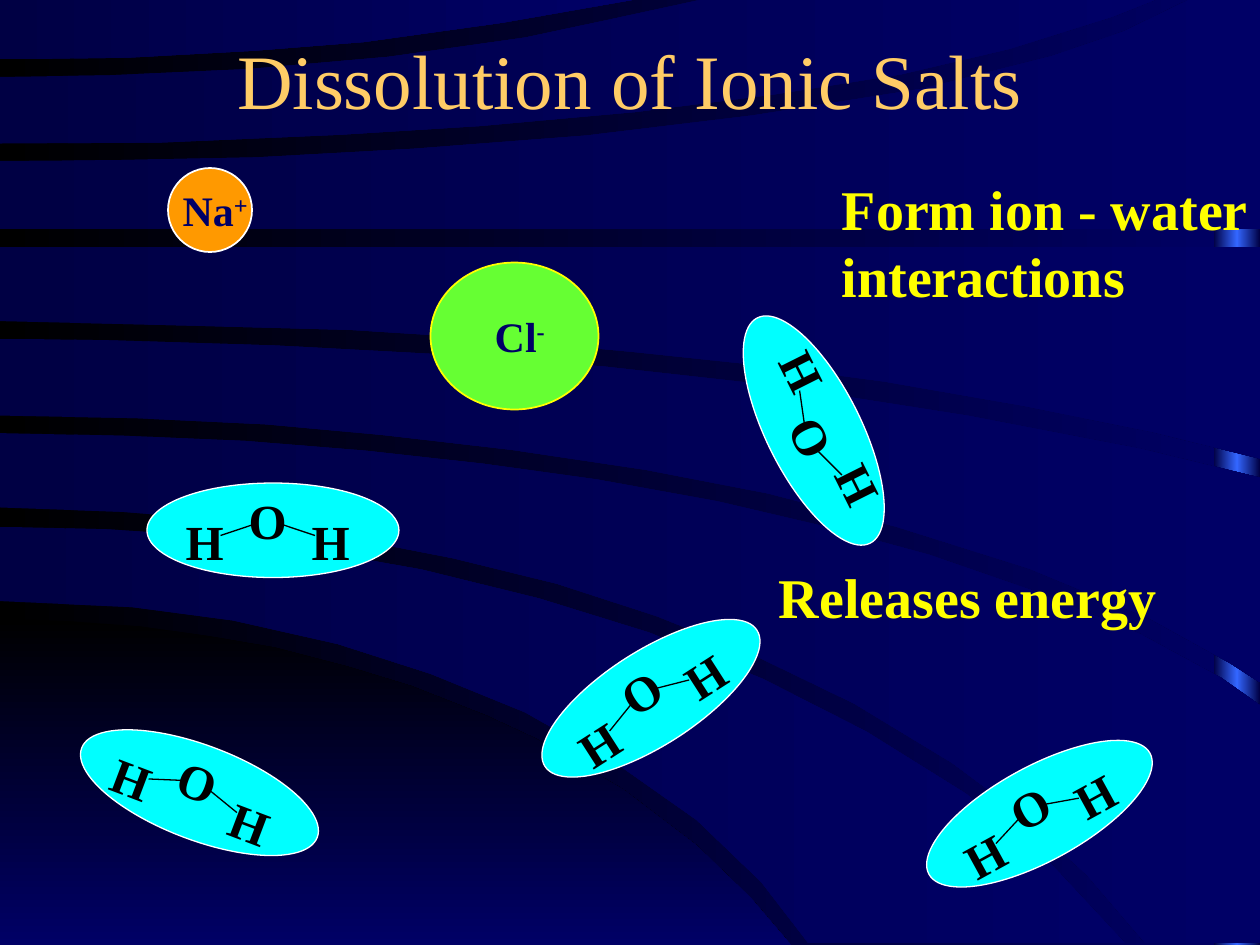
from copy import deepcopy
from math import cos, radians, sin

from lxml import etree
from pptx import Presentation
from pptx.dml.color import RGBColor
from pptx.enum import shapes, text
from pptx.oxml import ns
from pptx.util import Pt

FONT = "Times New Roman"
BLACK = RGBColor(0, 0, 0)
WHITE = RGBColor(255, 255, 255)
NAVY = RGBColor(0, 0, 0x66)
DEEP = RGBColor(0, 0, 0x44)
BLUE = RGBColor(0x33, 0x66, 0xFF)
GOLD = RGBColor(0xFF, 0xCC, 0x66)
YELLOW = RGBColor(255, 255, 0)
CYAN = RGBColor(0, 255, 255)
GREEN = RGBColor(0x66, 0xFF, 0x33)
ORANGE = RGBColor(0xFF, 0x99, 0)

WIDE, HIGH = 720, 540

# Backdrop: upper and lower edge of each band, from left to right
DOME = ([(0, 353.5), (40, 355), (80, 358), (119, 363.5), (157, 370), (199, 381),
         (235, 392), (278, 409), (306, 422), (356, 451), (398, 483),
         (429, 513), (452, 540)], [(0, 540)])
BANDS = [
    ([(0, 301), (62, 302.5), (119, 306.5), (179, 314.5), (241, 325.5),
      (308, 342), (371, 361.5), (436, 388), (495, 418), (552, 453.5),
      (600, 493), (643, 539)],
     [(0, 343.5), (76, 347), (133, 354.5), (193, 368), (246, 385), (300, 407),
      (354, 437.5), (398, 468.5), (435, 504), (462, 539)]),
    ([(0, 247.5), (70, 249), (140, 252), (208, 257.5), (276, 265), (341, 274),
      (410, 286.5), (472, 301), (531, 317), (589, 337), (651, 362),
      (698, 387.5), (720, 403)],
     [(0, 290), (70, 292.5), (132, 297.5), (192, 306), (259, 319),
      (318, 333.5), (375, 352), (430, 374), (488, 402), (544, 436),
      (583, 465), (621, 500), (654.5, 539), (720, 539)]),
    ([(0, 193.5), (64, 194.5), (158, 197.5), (251, 202.5), (345, 209.5),
      (444, 220.5), (553, 237.5), (652, 256.5), (720, 273)],
     [(0, 237.5), (78, 239), (152, 242.5), (218, 248.5), (292, 257),
      (369, 268.5), (439, 282), (512, 301), (588, 325), (657, 353.5),
      (703, 379), (720, 390)]),
    ([(0, 141), (720, 141)],
     [(0, 183.5), (106, 186), (200, 188.5), (280, 193.5), (361, 201),
      (437, 209), (505, 218), (585, 232), (659, 247), (720, 262)]),
    ([(0, 92), (67, 91.5), (146, 90), (237, 85), (335, 77.5), (430, 66),
      (528, 50.5), (601, 32), (642, 18), (679, 0), (720, 0)],
     [(0, 131), (720, 131)]),
    ([(0, 44), (63, 43), (142, 39.5), (222, 32.5), (300, 21.5), (347, 11.5),
      (400, 0)],
     [(0, 82), (91, 81.5), (194, 77), (274, 72), (363, 64), (442, 54),
      (515, 42.5), (577, 28), (636, 9.5), (660, 0)]),
    ([(0, 0)],
     [(0, 34), (73, 33), (145, 29), (208, 24), (287, 13), (361, 0)]),
]

# Water: centre and turn of each molecule; parts are offsets from its centre
WATER = [(372, 399, 327.3), (156, 303, 0), (465, 246, 243.4),
         (594, 465, 331.3), (114, 453, 20.8)]
ATOMS = [("H", -39, 6), ("H", 33, 6), ("O", -3, -6)]
BONDS = [((-30, 3), (-12, -3)), ((24, 3), (6, -3))]

# Ions: symbol, charge, circle box, label place, fill, line
IONS = [("Cl", "-", (246, 150, 96, 84), (270, 174), GREEN, YELLOW),
        ("Na", "+", (96, 96, 48, 48), (96, 102), ORANGE, WHITE)]
TITLE = "Dissolution of Ionic Salts"
NOTES = [("Form ion - water interactions", (474, 96, 246, 84)),
         ("Releases energy", (438, 318, 246, 45))]


def shade(fill, hues, angle=0):
    fill.gradient()
    fill.gradient_angle = angle
    stops = fill.gradient_stops
    stops[0].color.rgb, stops[1].color.rgb = hues[0], hues[-1]
    stops[0].position, stops[1].position = 0, 1
    if len(hues) == 3:
        first = stops[0]._gs
        first.addnext(deepcopy(first))
        mid = fill.gradient_stops[1]
        mid.color.rgb, mid.position = hues[1], 0.5


def band(home, edges, hues, angle=0):
    top, low = edges
    spots = [(Pt(x), Pt(y)) for x, y in top + low[::-1]]
    pen = home.build_freeform(*spots[0], scale=1.0)
    pen.add_line_segments(spots[1:], close=True)
    shape = pen.convert_to_shape()
    shape.shadow.inherit = False
    shade(shape.fill, hues, angle)
    shape.line.fill.background()


def oval(home, box, fill, line, width, turn=0):
    shape = home.add_shape(shapes.MSO_SHAPE.OVAL, *map(Pt, box))
    shape.shadow.inherit = False
    shape.fill.solid()
    shape.fill.fore_color.rgb = fill
    shape.line.color.rgb = line
    shape.line.width = Pt(width)
    shape.rotation = turn


def label(home, box, runs, size, color, bold=True, mid=True, turn=0):
    shape = home.add_textbox(*map(Pt, box))
    shape.rotation = turn
    frame = shape.text_frame
    frame.word_wrap = True
    para = frame.paragraphs[0]
    para.alignment = text.PP_ALIGN.CENTER if mid else text.PP_ALIGN.LEFT
    for words, lift in runs:
        run = para.add_run()
        run.text = words
        font = run.font
        font.name, font.size, font.bold = FONT, Pt(size), bold
        font.color.rgb = color
        if lift:
            run._r.get_or_add_rPr().set("baseline", str(lift * 1000))
    return frame


def water(home, x, y, turn):
    def place(dx, dy):
        c, s = cos(radians(turn)), sin(radians(turn))
        return x + dx * c - dy * s, y + dx * s + dy * c

    parts = home.add_group_shape().shapes
    oval(parts, (x - 72, y - 27, 144, 54), CYAN, WHITE, 0.75, turn)
    for name, dx, dy in ATOMS:
        px, py = place(dx, dy)
        label(parts, (px - 21, py - 20.5, 42, 41), [(name, 0)], 28, BLACK, turn=turn)
    for start, end in BONDS:
        line = parts.add_connector(shapes.MSO_CONNECTOR.STRAIGHT,
                                   *map(Pt, place(*start) + place(*end)))
        line.line.color.rgb = BLACK
        line.line.width = Pt(0.75)
        etree.SubElement(line._element.spPr, ns.qn("a:effectLst"))


def main():
    deck = Presentation()
    deck.slide_width, deck.slide_height = Pt(WIDE), Pt(HIGH)
    slide = deck.slides.add_slide(deck.slide_layouts[6])
    home = slide.shapes

    # Backdrop
    shade(slide.background.fill, (BLACK, NAVY))
    gleam = ([(693.5, 0), (WIDE, 0)], [(693.5, HIGH), (WIDE, HIGH)])
    band(home, gleam, (DEEP, BLUE, DEEP))
    band(home, DOME, (BLACK, NAVY), 270)
    for edges in BANDS:
        band(home, edges, (DEEP, NAVY))

    # Title
    frame = label(home, (54, 0, 612, 90), [(TITLE, 0)], 44, GOLD, bold=False)
    frame.vertical_anchor = text.MSO_ANCHOR.MIDDLE

    # Molecules, notes and ions
    for x, y, turn in WATER:
        water(home, x, y, turn)
    for words, box in NOTES:
        label(home, box, [(words, 0)], 32, YELLOW, mid=False)
    for name, sign, box, spot, fill, line in IONS:
        parts = home.add_group_shape().shapes
        oval(parts, box, fill, line, 1)
        label(parts, spot + (54, 36), [(name, 0), (sign, 30)], 24, NAVY)

    deck.save("out.pptx")


if __name__ == "__main__":
    main()
